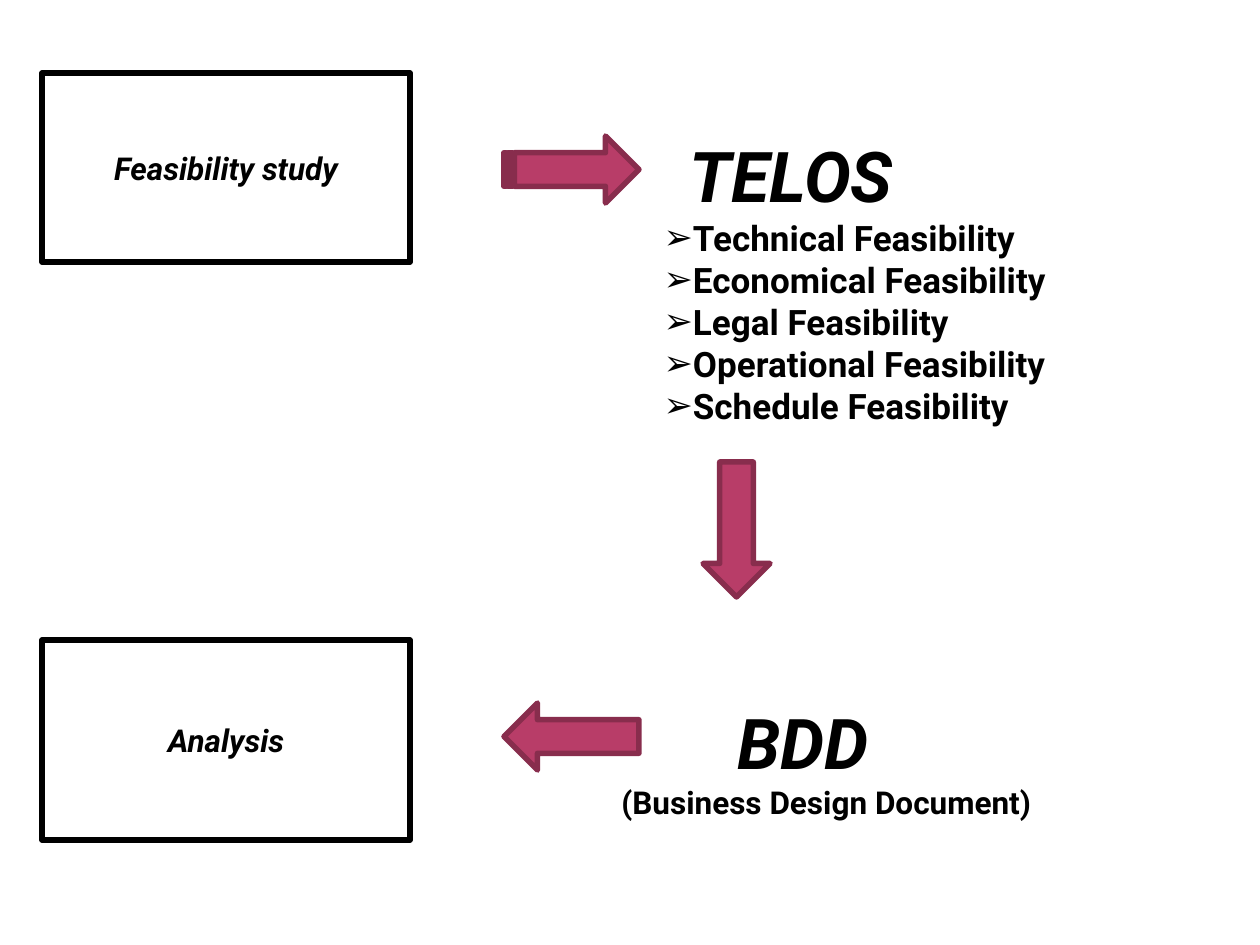
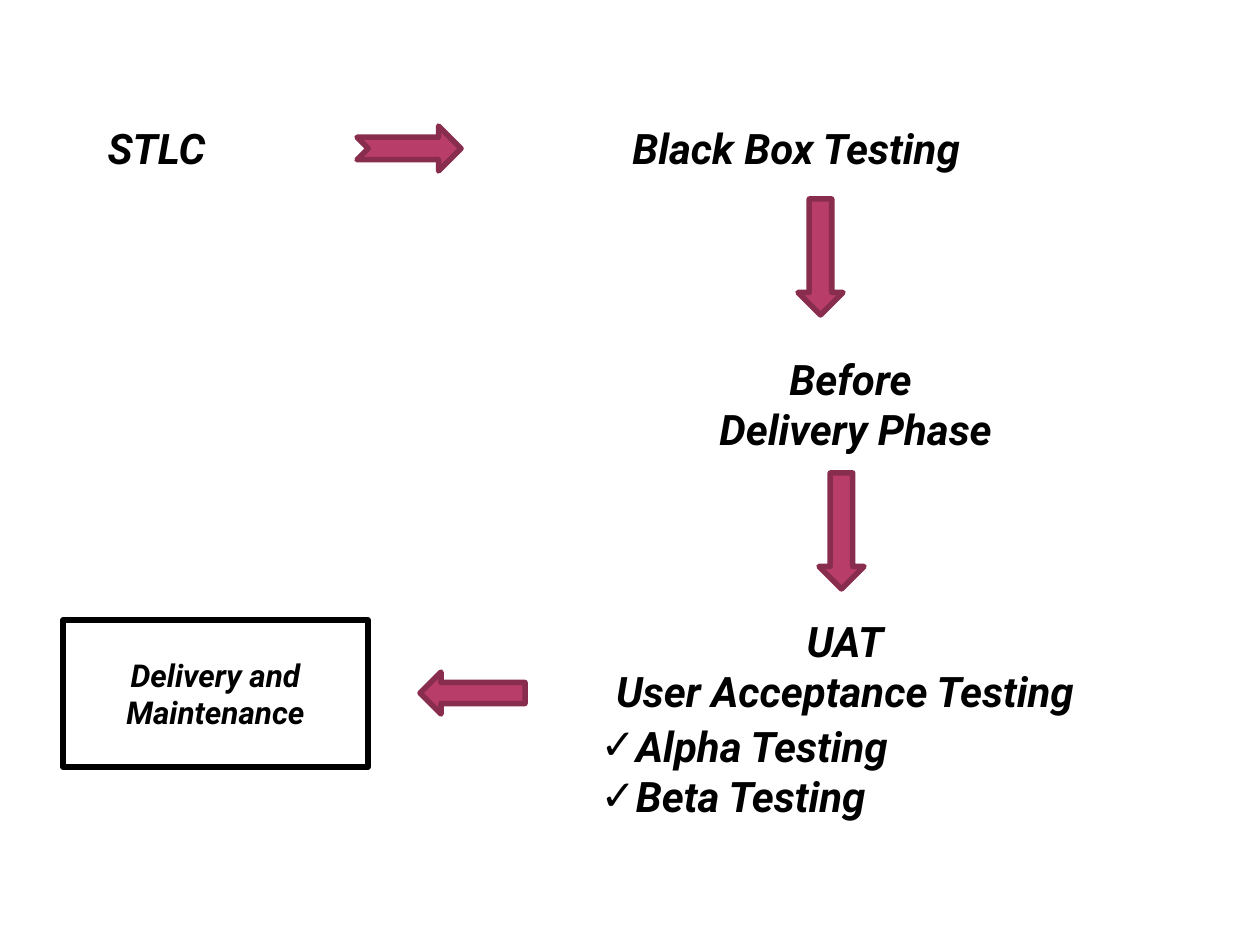
from dataclasses import dataclass
from lxml import etree
from pptx import Presentation, util as u
from pptx.dml.color import RGBColor
from pptx.enum import shapes, text
from pptx.oxml.ns import qn

PX = 914400 / 126  # EMU in one px
KIND = shapes.MSO_SHAPE
ALIGN = text.PP_ALIGN


@dataclass(frozen=True)
class Theme:
    font: str = "Roboto"
    ink: RGBColor = RGBColor(0, 0, 0)
    paper: RGBColor = RGBColor(255, 255, 255)
    arrow: RGBColor = RGBColor(0xB8, 0x3D, 0x68)
    arrow_edge: RGBColor = RGBColor(0x88, 0x2D, 0x4D)
    line: float = 3.15
    heading: int = 40
    stage: int = 24
    item: int = 20
    label: int = 18


T = Theme()


# Helpers
def emu(*px):
    return [u.Emu(round(v * PX)) for v in px]


def write(tf, lines, size, align=ALIGN.LEFT, italic=True, bullet=None):
    for i, line in enumerate(lines):
        p = tf.paragraphs[0] if i == 0 else tf.add_paragraph()
        p.alignment = align
        p.space_before = u.Pt(0)
        r = p.add_run()
        r.text = line
        f = r.font
        f.name, f.size, f.bold, f.italic = T.font, u.Pt(size), True, italic
        f.color.rgb = T.ink
        if bullet:
            pPr = p._p.get_or_add_pPr()
            pPr.set("marL", "0")
            pPr.set("indent", "0")
            etree.SubElement(pPr, qn("a:buFont")).set("typeface", "Arial")
            etree.SubElement(pPr, qn("a:buChar")).set("char", bullet)


def fit(tf, wrap):
    tf.word_wrap = wrap
    tf.auto_size = text.MSO_AUTO_SIZE.SHAPE_TO_FIT_TEXT
    tf.vertical_anchor = text.MSO_ANCHOR.TOP


# Kinds of element
def place(sp, box, lines, size, wrap=False, **style):
    sp.left, sp.top, sp.width, sp.height = emu(*box)
    fit(sp.text_frame, wrap)
    write(sp.text_frame, lines, size, **style)


def caption(s, box, lines, size, **style):
    place(s.shapes.add_textbox(*emu(*box)), box, lines, size, **style)


def outlined(s, kind, box, fill, edge):
    sp = s.shapes.add_shape(kind, *emu(*box))
    sp.shadow.inherit = False
    sp.fill.solid()
    sp.fill.fore_color.rgb = fill
    sp.line.color.rgb = edge
    sp.line.width = u.Pt(T.line)
    etree.SubElement(sp.line._get_or_add_ln(), qn("a:round"))
    return sp


def arrow(s, kind, *box):
    outlined(s, kind, box, T.arrow, T.arrow_edge)


def phase(s, box, lines):
    tf = outlined(s, KIND.RECTANGLE, box, T.paper, T.ink).text_frame
    tf.word_wrap = True
    tf.vertical_anchor = text.MSO_ANCHOR.MIDDLE
    write(tf, lines, T.label, ALIGN.CENTER)


# Slides
def feasibility(s):
    long, wide = 135, 67
    place(s.shapes.title, (672, 126, 238, 136), ["TELOS"], T.heading,
          align=ALIGN.CENTER)
    areas = ["Technical", "Economical", "Legal", "Operational", "Schedule"]
    place(s.placeholders[1], (651, 210, 441, 224),
          [f"{area} Feasibility" for area in areas], T.item,
          wrap=True, italic=False, bullet="➢")
    phase(s, (42, 73, 368, 189), ["Feasibility study"])
    arrow(s, KIND.STRIPED_RIGHT_ARROW, 504, 136, long, wide)
    arrow(s, KIND.DOWN_ARROW, 703, 462, wide, long)
    caption(s, (725, 693, 168, 97), ["BDD"], T.heading)
    caption(s, (609, 777, 455, 50), ["(Business Design Document)"], T.label,
            italic=False)
    phase(s, (42, 640, 368, 200), ["Analysis"])
    arrow(s, KIND.LEFT_ARROW, 504, 703, long, wide)


def testing(s):
    long, wide = 116, 45
    place(s.shapes.title, (95, 116, 128, 63), ["STLC"], T.stage)
    place(s.placeholders[1], (588, 714, 336, 115),
          ["Alpha Testing", "Beta Testing"], T.stage, wrap=True, bullet="✓")
    arrow(s, KIND.NOTCHED_RIGHT_ARROW, 357, 126, 104, wide)
    caption(s, (620, 116, 378, 63), ["Black Box Testing"], T.stage)
    arrow(s, KIND.DOWN_ARROW, 798, 199, wide, long)
    caption(s, (683, 347, 335, 115), ["Before", " Delivery Phase"], T.stage,
            align=ALIGN.CENTER)
    arrow(s, KIND.DOWN_ARROW, 819, 473, wide, long)
    caption(s, (588, 609, 514, 115), ["UAT", "User Acceptance Testing"],
            T.stage, align=ALIGN.CENTER)
    arrow(s, KIND.LEFT_ARROW, 420, 672, 105, 42)
    phase(s, (63, 620, 305, 147), ["Delivery and", "Maintenance"])


def main():
    prs = Presentation()
    prs.slide_width, prs.slide_height = emu(1260, 945)
    for build in (feasibility, testing):
        build(prs.slides.add_slide(prs.slide_layouts[1]))
    prs.save("out.pptx")


if __name__ == "__main__":
    main()
